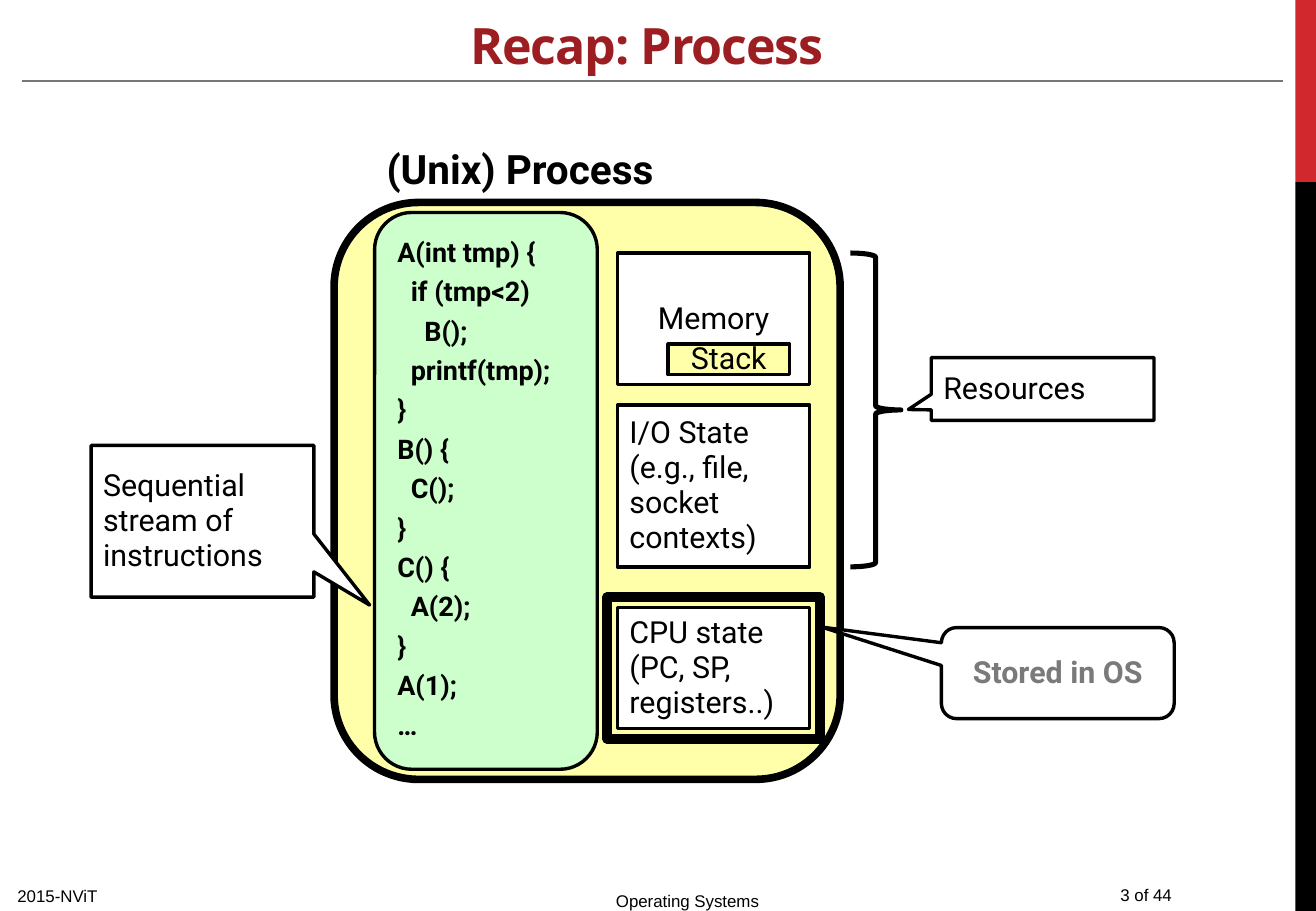
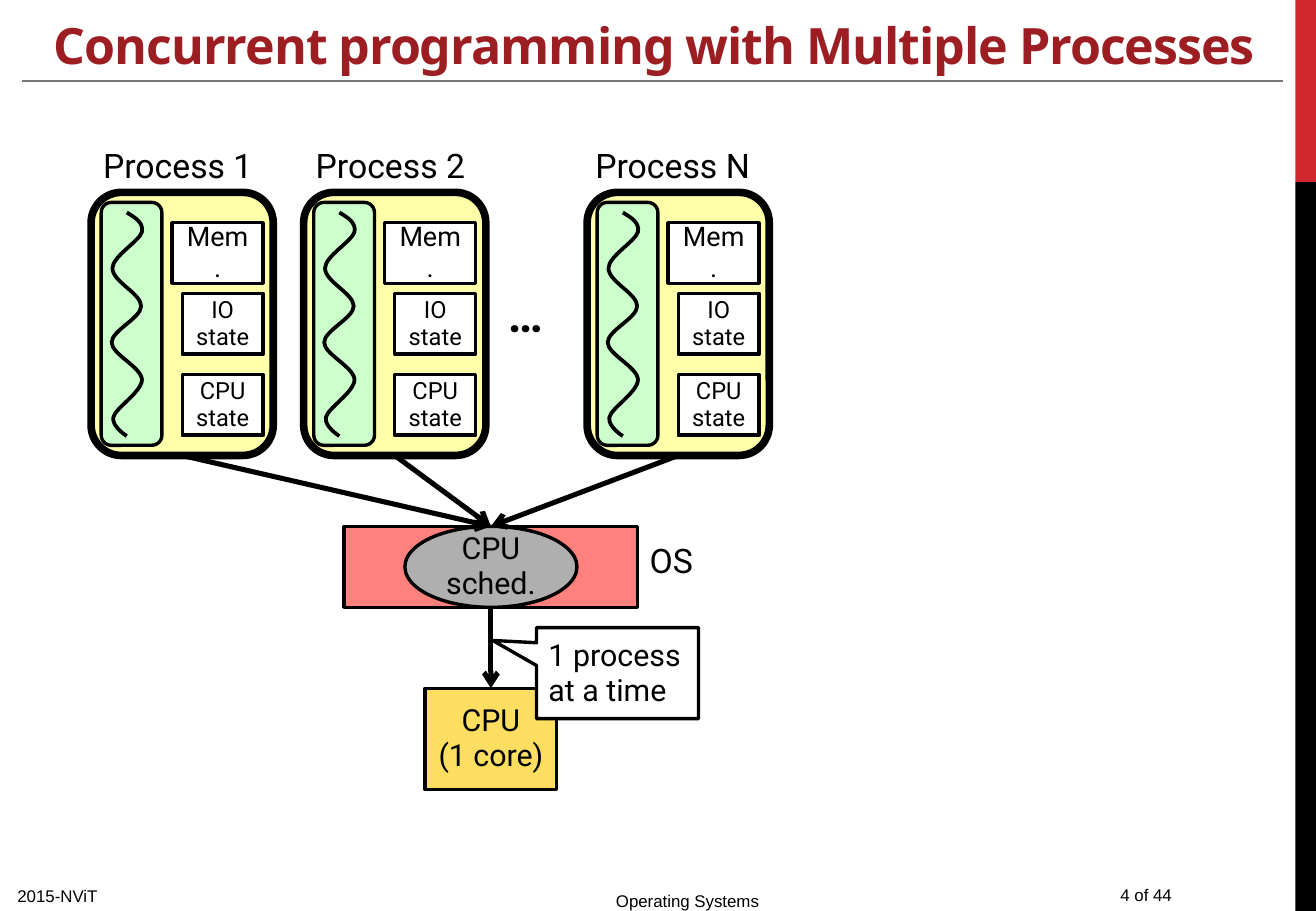
import lxml.etree
import pptx
import pptx.dml.color
import pptx.enum.shapes
import pptx.enum.text
import pptx.oxml.ns
import pptx.util

Pt = pptx.util.Pt
RGBColor = pptx.dml.color.RGBColor
SHAPE = pptx.enum.shapes.MSO_SHAPE
STRAIGHT = pptx.enum.shapes.MSO_CONNECTOR.STRAIGHT
ANCHOR = pptx.enum.text.MSO_ANCHOR
ALIGN = pptx.enum.text.PP_ALIGN
AUTO_SIZE = pptx.enum.text.MSO_AUTO_SIZE
qn = pptx.oxml.ns.qn

BLACK = RGBColor(0x00, 0x00, 0x00)
WHITE = RGBColor(0xFF, 0xFF, 0xFF)
RED = RGBColor(0xD1, 0x28, 0x2E)
TITLE_RED = RGBColor(0x9D, 0x1E, 0x22)
RULE_GRAY = RGBColor(0x77, 0x77, 0x77)
NOTE_GRAY = RGBColor(0x7A, 0x7A, 0x7A)
YELLOW = RGBColor(0xFF, 0xFF, 0xAA)
GREEN = RGBColor(0xCC, 0xFF, 0xCC)
CORAL = RGBColor(0xFF, 0x81, 0x7E)
SCHED_GRAY = RGBColor(0xAF, 0xAF, 0xAF)
GOLD = RGBColor(0xFE, 0xDE, 0x61)

SLIDE_WIDTH, SLIDE_HEIGHT = 780, 540
ROUNDING = (0.167,)

PROGRAM = [
    (0, "A(int tmp) {"), (1, "if (tmp<2)"), (2, "B();"), (1, "printf(tmp);"), (0, "}"),
    (0, "B() {"), (1, "C();"), (0, "}"),
    (0, "C() {"), (1, "A(2);"), (0, "}"),
    (0, "A(1);"), (0, "…"),
]

WAVE_START = (9, 0)
WAVE_CURVES = [
    ((14, 3), (19, 6), (18, 11.5)),
    ((16.5, 17), (0.5, 26), (0.5, 33)),
    ((0.5, 41), (17.5, 48), (17.5, 55.5)),
    ((17.5, 62.5), (0, 70), (0, 77)),
    ((0, 84), (17.5, 91.5), (18, 99)),
    ((18, 106.5), (2, 116), (1, 121.5)),
    ((0, 127), (9, 132.5), (9, 132.5)),
]


def write(shape, lines, size=18, color=BLACK, bold=False, font="Roboto",
          align=ALIGN.LEFT, anchor=ANCHOR.MIDDLE, spacing=0.96, before=0):
    frame = shape.text_frame
    frame.vertical_anchor = anchor
    frame.text = "\n".join(lines)
    for paragraph in frame.paragraphs:
        paragraph.alignment = align
        paragraph.line_spacing = spacing
        paragraph.space_before = Pt(before)
        paragraph.font.name = font
        paragraph.font.size = Pt(size)
        paragraph.font.bold = bold
        paragraph.font.color.rgb = color
    return frame


def add_box(slide, box, fill=WHITE, line=2, kind=SHAPE.RECTANGLE, adjust=()):
    shape = slide.shapes.add_shape(kind, *map(Pt, box))
    shape.shadow.inherit = False
    for index, value in enumerate(adjust):
        shape.adjustments[index] = value
    if fill is None:
        shape.fill.background()
    else:
        shape.fill.solid()
        shape.fill.fore_color.rgb = fill
    if line:
        shape.line.color.rgb = BLACK
        shape.line.width = Pt(line)
    else:
        shape.line.fill.background()
    return shape


def add_text(slide, box, text, **style):
    label = slide.shapes.add_textbox(*map(Pt, box))
    frame = write(label, [text], **style)
    frame.word_wrap = True
    return frame


def add_label(slide, box, text, size, bold=False):
    frame = add_text(slide, box, text, size=size, bold=bold, anchor=ANCHOR.TOP)
    frame.word_wrap = False
    frame.auto_size = AUTO_SIZE.SHAPE_TO_FIT_TEXT


def add_line(slide, start, end, color=BLACK, width=3, arrow=False):
    line = slide.shapes.add_connector(STRAIGHT, *map(Pt, (*start, *end)))
    line.line.color.rgb = color
    line.line.width = Pt(width)
    if arrow:
        tip = lxml.etree.SubElement(line.line._get_or_add_ln(), qn("a:tailEnd"))
        tip.set("type", "arrow")
    lxml.etree.SubElement(line._element.spPr, qn("a:effectLst"))
    return line


def add_arrow(slide, source, target):
    arrow = add_line(slide, (0, 0), (0, 0), arrow=True)
    arrow.begin_connect(source, 2)
    arrow.end_connect(target, 0)


def add_frame(deck, title, title_width, number):
    slide = deck.slides.add_slide(deck.slide_layouts[6])
    band_left = 767.8
    for top, bottom, color in ((0, 108, RED), (108, SLIDE_HEIGHT, BLACK)):
        add_box(slide, (band_left, top, SLIDE_WIDTH - band_left, bottom - top), color, line=0)
    add_line(slide, (13, 48.2), (760.4, 48.2), RULE_GRAY, 1)
    heading = add_text(slide, (6.5, 11.8, title_width, 36), title, size=29.7, color=TITLE_RED,
                       bold=True, font="Noto Sans", align=ALIGN.CENTER,
                       anchor=ANCHOR.BOTTOM, spacing=1.0)
    heading.paragraphs[0].font._element.set("spc", "-64")
    footers = (
        (3.2, 292, "2015-NViT", ANCHOR.TOP),
        (358, 292, "Operating Systems", ANCHOR.BOTTOM),
        (657, 112, f"{number} of 44", ANCHOR.MIDDLE),
    )
    for left, width, text, anchor in footers:
        footer = add_text(slide, (left, 521.5, width, 18.3), text, size=10, font="Arial",
                          anchor=anchor, spacing=1.0)
        if anchor == ANCHOR.BOTTOM:
            footer.margin_bottom = 0
    return slide


def add_unix_process(slide, left, top):
    def place(x, y, width, height):
        return left + x, top + y, width, height

    add_box(slide, place(0, 0, 300, 342), YELLOW, 4.5, SHAPE.ROUNDED_RECTANGLE, ROUNDING)
    states = (
        (30, 78, ["Memory"], ALIGN.CENTER),
        (120, 96, ["I/O State", "(e.g., file, socket contexts)"], ALIGN.LEFT),
        (240, 72, ["CPU state (PC, SP, registers..)"], ALIGN.LEFT),
    )
    for y, height, lines, align in states:
        write(add_box(slide, place(168, y, 114, height)), lines, align=align)
    stack = add_box(slide, place(198, 84, 72, 18), YELLOW)
    write(stack, ["Stack"], align=ALIGN.CENTER)
    add_box(slide, place(162, 234, 126, 84), None, 6)

    program = add_box(slide, place(24, 6, 132, 330), GREEN, 2,
                      SHAPE.ROUNDED_RECTANGLE, ROUNDING)
    code = write(program, [text for _, text in PROGRAM], size=16, bold=True,
                 spacing=0.8, before=8)
    for paragraph, (depth, _) in zip(code.paragraphs, PROGRAM):
        paragraph._p.get_or_add_pPr().set("marL", str(Pt(8 * depth)))
    add_label(slide, place(24, -36, 184, 37), "(Unix) Process", 24, bold=True)


def add_process_notes(slide):
    stream = add_box(slide, (54, 264, 132, 90), kind=SHAPE.RECTANGULAR_CALLOUT,
                     adjust=(0.751, 0.552))
    write(stream, ["Sequential stream of instructions"])
    add_box(slide, (504, 150, 30, 186), WHITE, 3, SHAPE.RIGHT_BRACE, (0.083, 0.5))
    resources = add_box(slide, (552, 212, 132, 37.2), kind=SHAPE.RECTANGULAR_CALLOUT,
                        adjust=(-0.603, 0.327))
    write(resources, ["Resources"])
    stored = add_box(slide, (558, 372, 138, 54), kind=SHAPE.ROUNDED_RECTANGULAR_CALLOUT,
                     adjust=(-1.013, -0.505, 0.167))
    write(stored, ["Stored in OS"], color=NOTE_GRAY, bold=True, align=ALIGN.CENTER)


def add_wave(slide, left, top):
    def place(point):
        return Pt(left + point[0]), Pt(top + point[1])

    builder = slide.shapes.build_freeform(*place(WAVE_START))
    builder.add_line_segments([place(point) for curve in WAVE_CURVES for point in curve],
                              close=False)
    wave = builder.convert_to_shape()
    segments = list(wave._element.iter(qn("a:lnTo")))
    for first, second, end in zip(*[iter(segments)] * 3):
        first.tag = qn("a:cubicBezTo")
        for segment in (second, end):
            first.append(segment[0])
            segment.getparent().remove(segment)
    wave.shadow.inherit = False
    wave.fill.background()
    wave.line.color.rgb = BLACK
    wave.line.width = Pt(2.25)


def add_small_process(slide, left, top, name, label_left, label_width):
    add_label(slide, (label_left, top - 30, label_width, 31.7), name, 20)
    body = add_box(slide, (left, top, 108, 156), YELLOW, 4.5,
                   SHAPE.ROUNDED_RECTANGLE, ROUNDING)
    states = (
        (48, 18, 16, ["Mem."]),
        (54, 60, 14, ["IO", "state"]),
        (54, 108, 14, ["CPU", "state"]),
    )
    for x, y, size, lines in states:
        state = add_box(slide, (left + x, top + y, 102 - x, 36))
        write(state, lines, size=size, align=ALIGN.CENTER)
    add_box(slide, (left + 6, top + 6, 36, 144), GREEN, 2,
            SHAPE.ROUNDED_RECTANGLE, ROUNDING)
    add_wave(slide, left + 12.2, top + 12)
    return body


def add_scheduler(slide, left, top, processes):
    os_band = add_box(slide, (left, top, 174, 48), CORAL)
    scheduler = add_box(slide, (left + 36, top, 102, 48), SCHED_GRAY, kind=SHAPE.OVAL)
    write(scheduler, ["CPU sched."], align=ALIGN.CENTER)
    add_label(slide, (left + 174, top + 6, 44, 31.7), "OS", 20)
    core = add_box(slide, (left + 48, top + 96, 78, 60), GOLD)
    write(core, ["CPU", "(1 core)"], align=ALIGN.CENTER)
    add_arrow(slide, os_band, core)
    for process in processes:
        add_arrow(slide, process, os_band)
    turn = add_box(slide, (left + 114, top + 60, 96, 54), kind=SHAPE.RECTANGULAR_CALLOUT,
                   adjust=(-0.77, -0.358))
    write(turn, ["1 process at a time"])


def main():
    deck = pptx.Presentation()
    deck.slide_width, deck.slide_height = Pt(SLIDE_WIDTH), Pt(SLIDE_HEIGHT)

    recap = add_frame(deck, "Recap: Process", 754, 3)
    add_unix_process(recap, 198, 120)
    add_process_notes(recap)

    concurrent = add_frame(deck, "Concurrent programming with Multiple Processes", 762.5, 4)
    columns = (
        (54, "Process 1", 54, 104.4),
        (180, "Process 2", 180, 104.4),
        (348, "Process N", 345.8, 108),
    )
    processes = [add_small_process(concurrent, left, 114, *label) for left, *label in columns]
    add_label(concurrent, (294, 168, 43, 41), "…", 28, bold=True)
    add_scheduler(concurrent, 204, 312, processes)

    deck.save("out.pptx")


if __name__ == "__main__":
    main()
